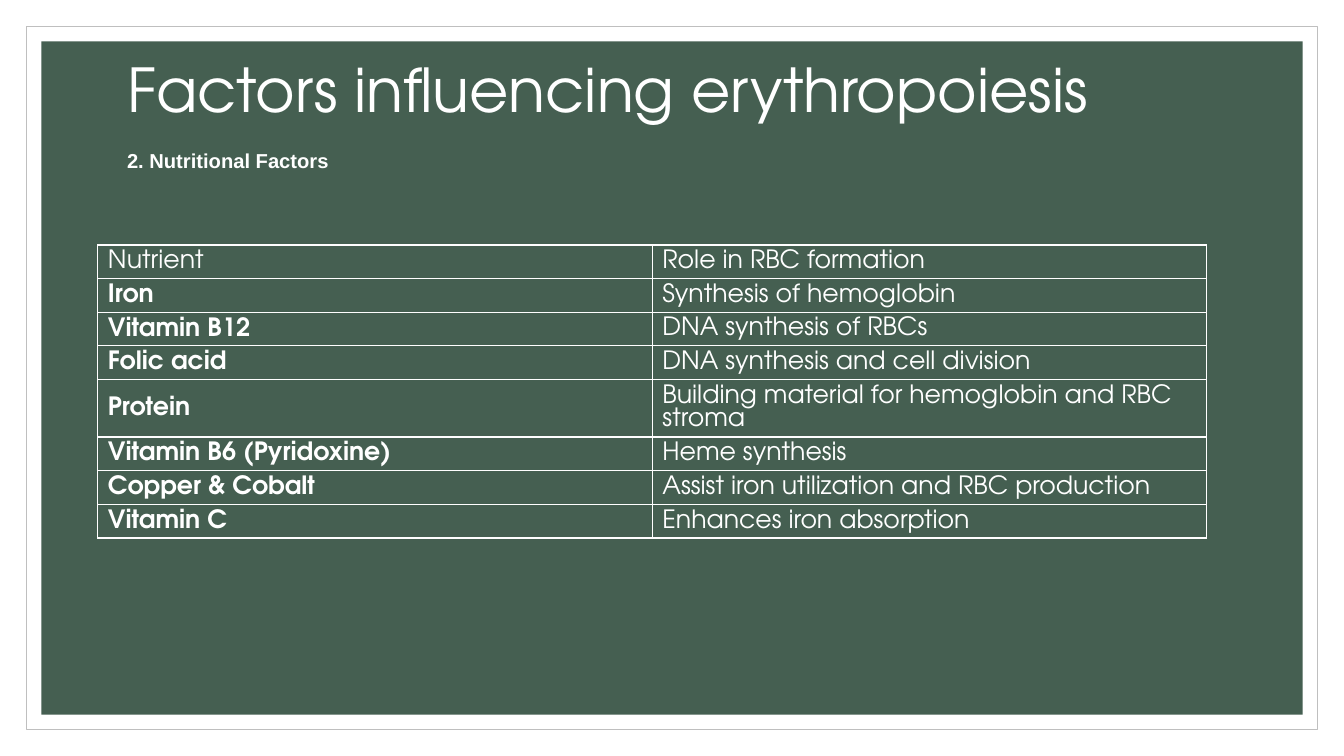
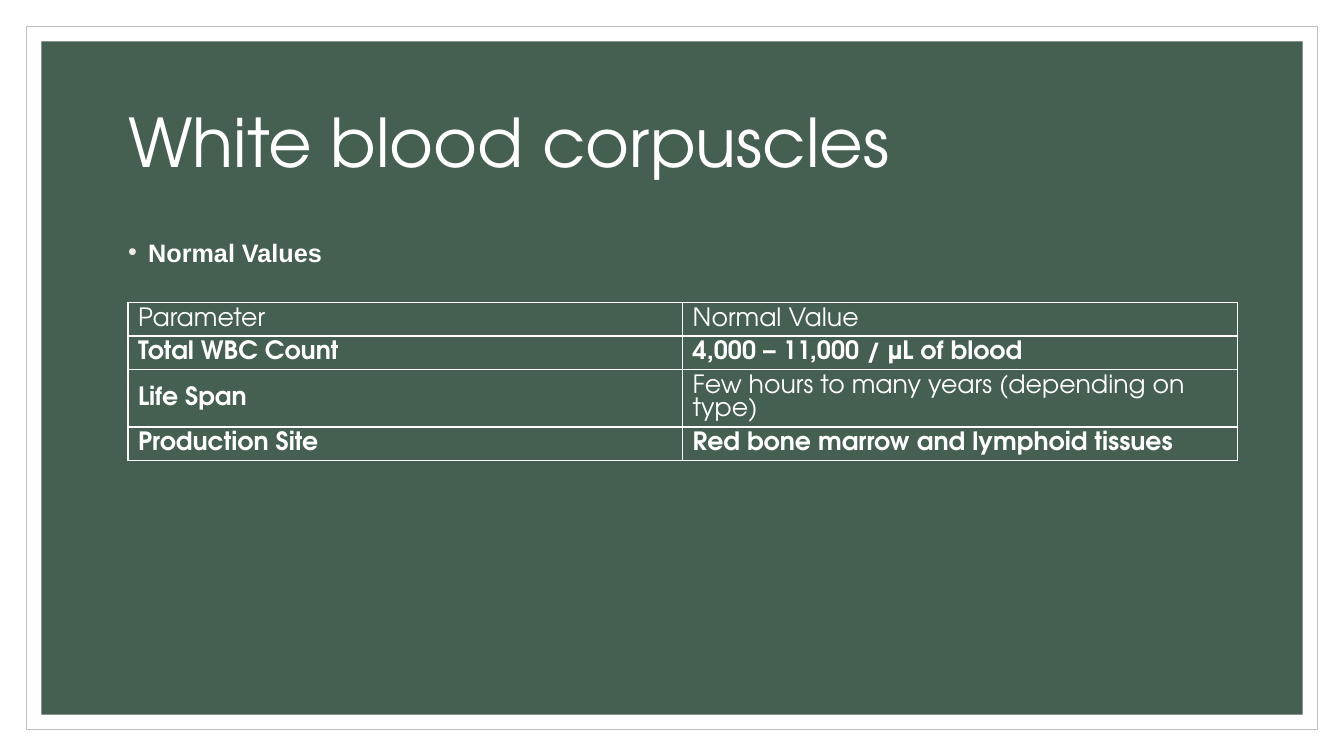
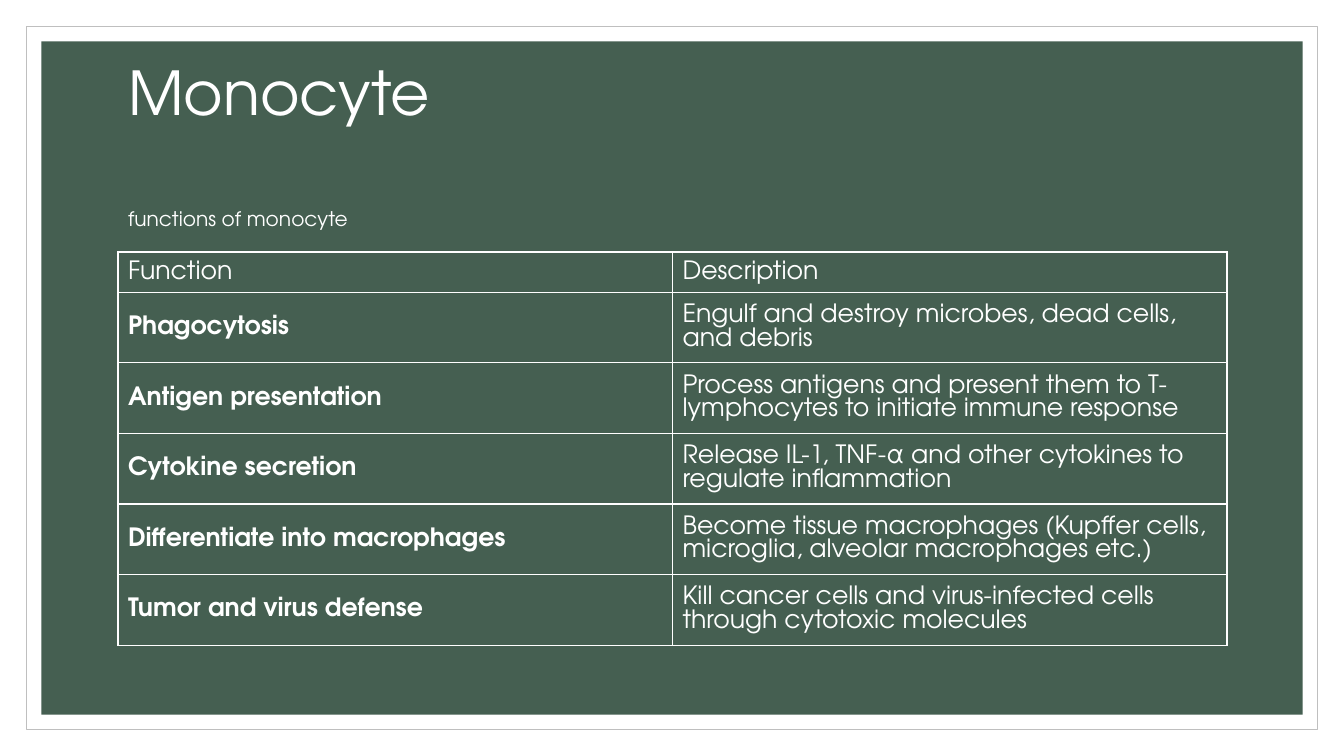
from dataclasses import dataclass

from lxml import etree
from pptx import Presentation
from pptx.dml.color import RGBColor
from pptx.enum.shapes import MSO_SHAPE
from pptx.enum.text import MSO_ANCHOR, MSO_AUTO_SIZE, PP_ALIGN
from pptx.oxml.ns import qn
from pptx.util import Inches, Pt

RECT = MSO_SHAPE.RECTANGLE
TOP, MIDDLE = MSO_ANCHOR.TOP, MSO_ANCHOR.MIDDLE
LEFT = PP_ALIGN.LEFT
NO_AUTOFIT = MSO_AUTO_SIZE.NONE

COLORS = {"white": "FFFFFF", "green": "455F51", "frame": "BFBFBF", "bullet": "EEEBE3"}
DISPLAY, SANS = "TeX Gyre Adventor", "Arial"
TITLE_AND_BODY, TITLE_ONLY = 1, 5
CONTENT_WIDTH = 11
LINE_SPACING = 0.9


@dataclass
class Subtitle:
    text: str
    gap: float
    font: str = DISPLAY
    bold: bool = False


@dataclass
class Row:
    label: str
    value: str
    lines: int = 1
    label_bold: bool = True
    value_bold: bool = False


@dataclass
class TableSlide:
    title: str
    title_size: float
    title_at: tuple[float, float]
    title_anchor: MSO_ANCHOR
    table_at: tuple[float, float]
    row_heights: tuple[float, float]  # one-line rows, two-line rows
    rows: list[Row]
    subtitle: Subtitle | None = None
    bullet: str = ""


SLIDES = [
    TableSlide(
        "Factors influencing erythropoiesis", 43.2, (1.16, 0.55), TOP,
        (0.97, 2.43), (0.33, 0.57),
        [
            Row("Nutrient", "Role in RBC formation", label_bold=False),
            Row("Iron", "Synthesis of hemoglobin"),
            Row("Vitamin B12", "DNA synthesis of RBCs"),
            Row("Folic acid", "DNA synthesis and cell division"),
            Row("Protein", "Building material for hemoglobin and RBC stroma", 2),
            Row("Vitamin B6 (Pyridoxine)", "Heme synthesis"),
            Row("Copper & Cobalt", "Assist iron utilization and RBC production"),
            Row("Vitamin C", "Enhances iron absorption"),
        ],
        subtitle=Subtitle("2. Nutritional Factors", 18, SANS, True),
    ),
    TableSlide(
        "White blood corpuscles", 48, (1.17, 0.7), MIDDLE,
        (1.27, 3), (0.33, 0.57),
        [
            Row("Parameter", "Normal Value", label_bold=False),
            Row("Total WBC Count", "4,000 – 11,000 / µL of blood", value_bold=True),
            Row("Life Span", "Few hours to many years (depending on type)", 2),
            Row("Production Site", "Red bone marrow and lymphoid tissues", value_bold=True),
        ],
        bullet="Normal Values",
    ),
    TableSlide(
        "Monocyte", 43.2, (1.17, 0.58), TOP,
        (1.17, 2.5), (0.4, 0.7),
        [
            Row("Function", "Description", label_bold=False),
            Row("Phagocytosis", "Engulf and destroy microbes, dead cells, and debris", 2),
            Row("Antigen presentation",
                "Process antigens and present them to T-lymphocytes to initiate immune response", 2),
            Row("Cytokine secretion",
                "Release IL-1, TNF-α and other cytokines to regulate inflammation", 2),
            Row("Differentiate into macrophages",
                "Become tissue macrophages (Kupffer cells, microglia, alveolar macrophages etc.)", 2),
            Row("Tumor and virus defense",
                "Kill cancer cells and virus-infected cells through cytotoxic molecules", 2),
        ],
        subtitle=Subtitle("functions of monocyte", 57),
    ),
]


def rgb(name: str) -> RGBColor:
    return RGBColor.from_string(COLORS[name])


def write(p, text: str, *, size: float, font: str = DISPLAY, bold: bool = False,
          spacing: float = 1.0, before: float = 0) -> None:
    p.alignment = LEFT
    p.line_spacing = spacing
    p.space_before = Pt(before)
    r = p.add_run()
    r.text = text
    r.font.size, r.font.name, r.font.bold = Pt(size), font, bold
    r.font.color.rgb = rgb("white")


def place(sp, at: tuple[float, float], height: float) -> None:
    sp.left, sp.top = Inches(at[0]), Inches(at[1])
    sp.width, sp.height = Inches(CONTENT_WIDTH), Inches(height)


def add_master_panel(prs, s, inset: float, fill: str, line: str = "") -> None:
    """Draw a centred rectangle on s, then move it to the slide master."""
    edge = Inches(inset)
    sp = s.shapes.add_shape(RECT, edge, edge, prs.slide_width - 2 * edge,
                            prs.slide_height - 2 * edge)
    sp.shadow.inherit = False
    sp.fill.solid()
    sp.fill.fore_color.rgb = rgb(fill)
    if line:
        sp.line.color.rgb = rgb(line)
        sp.line.width = Pt(0.5)
    else:
        sp.line.fill.background()
    prs.slide_master.shapes.element.append(sp.element)


def add_title(s, spec_: TableSlide) -> None:
    sp = s.shapes.title
    place(sp, spec_.title_at, 1.5)
    tf = sp.text_frame
    tf.auto_size, tf.vertical_anchor = NO_AUTOFIT, spec_.title_anchor
    write(tf.paragraphs[0], spec_.title, size=spec_.title_size, spacing=LINE_SPACING)
    if spec_.subtitle:
        sub = spec_.subtitle
        write(tf.add_paragraph(), sub.text, size=14.4, font=sub.font, bold=sub.bold,
              spacing=LINE_SPACING, before=sub.gap)


def add_bullet(s, text: str) -> None:
    sp = s.placeholders[1]
    place(sp, (1.17, 2.3), 4.3)
    tf = sp.text_frame
    tf.auto_size = NO_AUTOFIT
    p = tf.paragraphs[0]
    pPr = p._p.get_or_add_pPr()
    pPr.set("marL", str(Inches(0.2)))
    pPr.set("indent", str(-Inches(0.2)))
    color = etree.SubElement(pPr, qn("a:buClr"))
    etree.SubElement(color, qn("a:srgbClr"), val=COLORS["bullet"])
    etree.SubElement(pPr, qn("a:buFont"), typeface=SANS)
    etree.SubElement(pPr, qn("a:buChar"), char="•")
    write(p, text, size=18, font=SANS, bold=True)


def add_borders(cell) -> None:
    tcPr = cell._tc.get_or_add_tcPr()
    for i, side in enumerate(("a:lnL", "a:lnR", "a:lnT", "a:lnB")):
        ln = etree.Element(qn(side), w=str(Pt(1)))
        fill = etree.SubElement(ln, qn("a:solidFill"))
        etree.SubElement(fill, qn("a:srgbClr"), val=COLORS["white"])
        tcPr.insert(i, ln)


def add_grid(s, at: tuple[float, float], row_heights: tuple[float, float],
             rows: list[Row]) -> None:
    heights = [row_heights[row.lines - 1] for row in rows]
    table = s.shapes.add_table(len(rows), 2, Inches(at[0]), Inches(at[1]),
                               Inches(CONTENT_WIDTH), Inches(sum(heights))).table
    table.first_row = table.horz_banding = False
    for i, row in enumerate(rows):
        table.rows[i].height = Inches(heights[i])
        texts = ((row.label, row.label_bold), (row.value, row.value_bold))
        for j, (text, bold) in enumerate(texts):
            cell = table.cell(i, j)
            cell.vertical_anchor = MIDDLE
            cell.fill.background()
            add_borders(cell)
            write(cell.text_frame.paragraphs[0], text, size=18, bold=bold)


def main() -> None:
    prs = Presentation()
    prs.slide_width, prs.slide_height = Inches(13.33), Inches(7.5)
    for item in SLIDES:
        layout = TITLE_AND_BODY if item.bullet else TITLE_ONLY
        s = prs.slides.add_slide(prs.slide_layouts[layout])
        if item is SLIDES[0]:
            add_master_panel(prs, s, 0.26, "white", "frame")
            add_master_panel(prs, s, 0.41, "green")
        add_title(s, item)
        if item.bullet:
            add_bullet(s, item.bullet)
        add_grid(s, item.table_at, item.row_heights, item.rows)
    prs.save("out.pptx")


if __name__ == "__main__":
    main()
